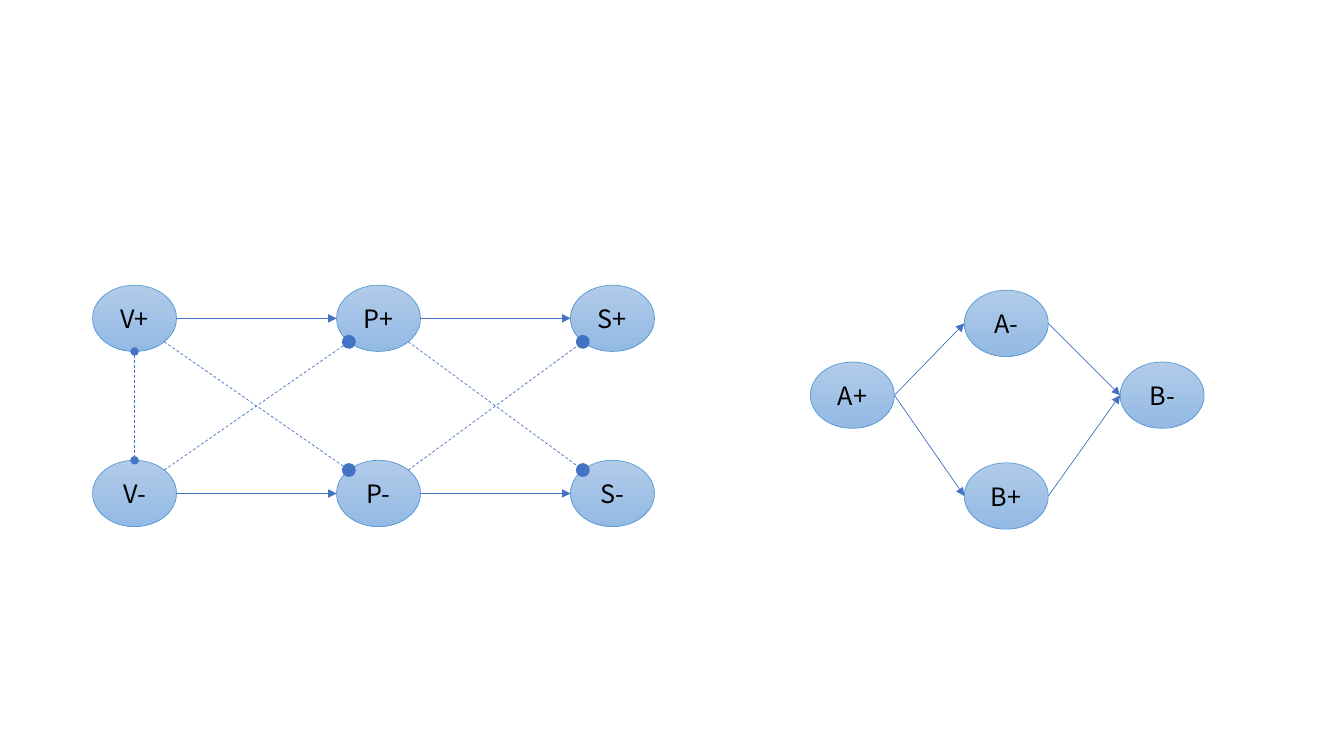
from math import sqrt

from lxml.etree import SubElement
from pptx import Presentation
from pptx.dml.color import RGBColor
from pptx.enum.dml import MSO_LINE
from pptx.enum.shapes import MSO_CONNECTOR, MSO_SHAPE
from pptx.enum.text import MSO_ANCHOR, PP_ALIGN
from pptx.oxml.ns import qn
from pptx.util import Inches, Pt

COLORS = {
    "node_top": "B1CBE9",
    "node_bottom": "93B9E4",
    "node_line": "5B9BD5",
    "edge": "4472C4",
    "text": "000000",
}
FONT = "Noto Sans CJK KR"
COLUMNS, ROWS = 160, 90
NODE_WIDTH, NODE_HEIGHT = 10, 7.9  # grid columns and rows

# Directions from a node's centre to its rim, as shares of its half size
DIAGONAL = 1 / sqrt(2)
RIM = {
    "left": (-1, 0),
    "right": (1, 0),
    "top": (0, -1),
    "bottom": (0, 1),
    "top left": (-DIAGONAL, -DIAGONAL),
    "top right": (DIAGONAL, -DIAGONAL),
    "bottom left": (-DIAGONAL, DIAGONAL),
    "bottom right": (DIAGONAL, DIAGONAL),
}


def color(name):
    return RGBColor.from_string(COLORS[name])


class GraphSlide:
    def __init__(self, deck):
        self.slide = deck.slides.add_slide(deck.slide_layouts[6])
        self.column = deck.slide_width / COLUMNS
        self.row = deck.slide_height / ROWS
        self.centers = {}

    def place(self, column, row):
        return round(column * self.column), round(row * self.row)

    def node(self, label, column, row):
        """Add a labelled ellipse centred on a grid point."""
        self.centers[label] = column, row
        corner = self.place(column - NODE_WIDTH / 2, row - NODE_HEIGHT / 2)
        size = self.place(NODE_WIDTH, NODE_HEIGHT)
        shape = self.slide.shapes.add_shape(MSO_SHAPE.OVAL, *corner, *size)
        shape.shadow.inherit = False
        shape.fill.gradient()
        shape.fill.gradient_angle = 270
        for stop, name in zip(shape.fill.gradient_stops, ("node_top", "node_bottom")):
            stop.color.rgb = color(name)
        shape.line.color.rgb = color("node_line")
        shape.line.width = Pt(0.5)
        shape.text_frame.vertical_anchor = MSO_ANCHOR.MIDDLE
        para = shape.text_frame.paragraphs[0]
        para.text = label
        para.alignment = PP_ALIGN.CENTER
        para.font.name = FONT
        para.font.size = Pt(18)
        para.font.color.rgb = color("text")

    def rim_point(self, label, side):
        column, row = self.centers[label]
        across, down = RIM[side]
        return self.place(column + across * NODE_WIDTH / 2, row + down * NODE_HEIGHT / 2)

    def edge(self, start, start_side, end, end_side, head=None, tail="triangle",
             size="med", dashed=False):
        """Join two nodes; head is the mark at the start, tail at the end."""
        line = self.slide.shapes.add_connector(
            MSO_CONNECTOR.STRAIGHT,
            *self.rim_point(start, start_side), *self.rim_point(end, end_side))
        line.line.color.rgb = color("edge")
        line.line.width = Pt(0.5)
        if dashed:
            line.line.dash_style = MSO_LINE.DASH
        properties = line.element.spPr
        outline = properties.find(qn("a:ln"))
        for tag, mark in (("a:headEnd", head), ("a:tailEnd", tail)):
            if mark:
                SubElement(outline, qn(tag), type=mark, w=size, len=size)
        SubElement(properties, qn("a:effectLst"))


def main():
    deck = Presentation()
    deck.slide_width, deck.slide_height = Inches(13.33), Inches(7.5)
    graph = GraphSlide(deck)

    # Left graph: three pairs of nodes
    pairs = {"V": 16.02, "P": 45.07, "S": 72.92}
    for letter, column in pairs.items():
        for sign, row in (("+", 37.9), ("-", 58.75)):
            graph.node(letter + sign, column, row)

    # Inhibiting edges: dashed with round ends
    graph.edge("V+", "bottom", "V-", "top", head="oval", tail="oval", dashed=True)
    letters = list(pairs)
    for source, target in zip(letters, letters[1:]):
        graph.edge(source + "+", "bottom right", target + "-", "top left",
                   tail="oval", size="lg", dashed=True)
        graph.edge(source + "-", "top right", target + "+", "bottom left",
                   tail="oval", size="lg", dashed=True)
        # Activating edges: solid arrows
        for sign in "+-":
            graph.edge(source + sign, "right", target + sign, "left")

    # Right graph: a diamond of four nodes
    graph.node("A+", 101.48, 47.05)
    graph.node("A-", 119.8, 38.5)
    graph.node("B+", 119.8, 59.05)
    graph.node("B-", 138.35, 47.05)
    for middle in ("A-", "B+"):
        graph.edge("A+", "right", middle, "left")
        graph.edge(middle, "right", "B-", "left")

    deck.save("out.pptx")


if __name__ == "__main__":
    main()
